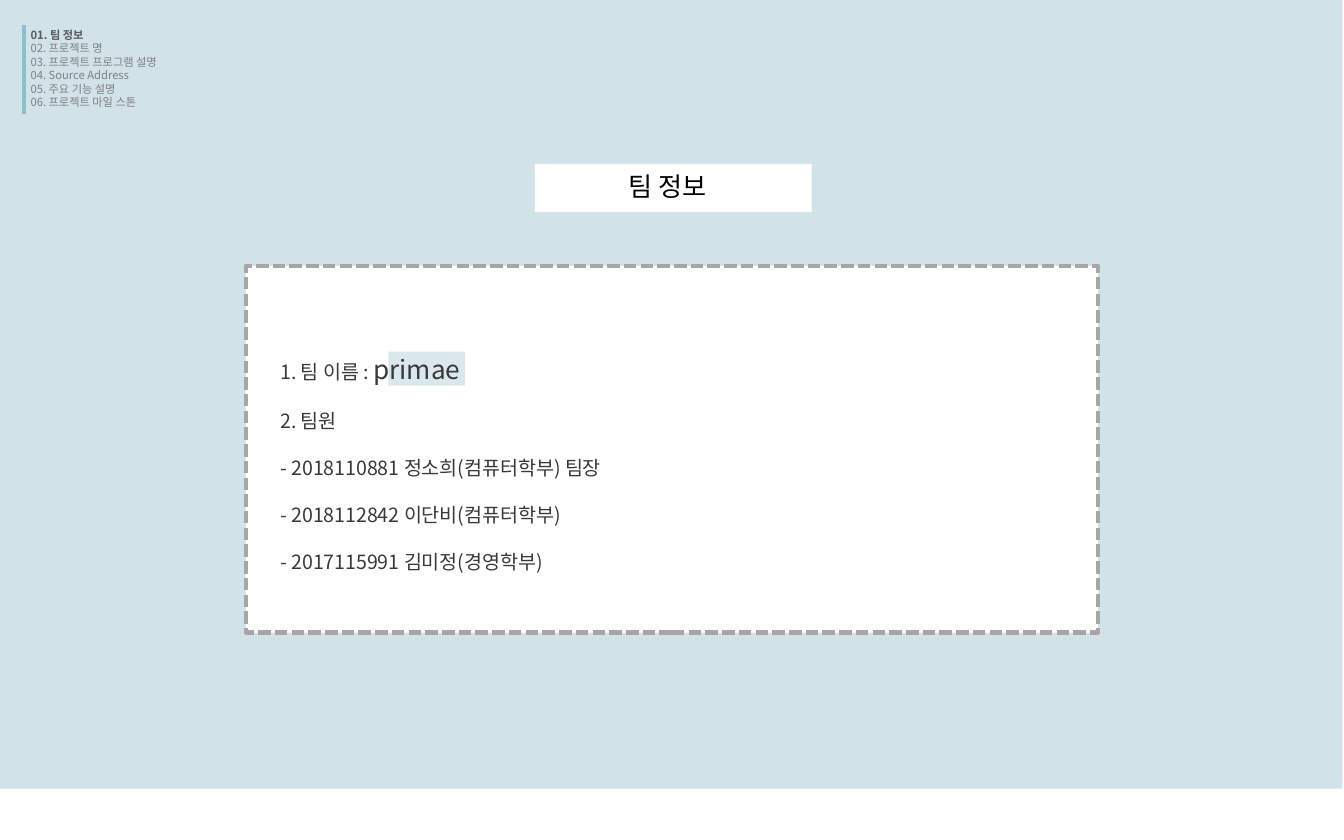
import dataclasses

import lxml.etree
import pptx
import pptx.dml.color
import pptx.enum.dml
import pptx.enum.shapes
import pptx.enum.text
import pptx.oxml.ns
import pptx.util

Cm = pptx.util.Cm
Pt = pptx.util.Pt
Align = pptx.enum.text.PP_ALIGN


@dataclasses.dataclass(frozen=True)
class Theme:
    font: str = "Noto Sans CJK KR"
    sky: str = "D1E2E9"
    teal: str = "8DBFCA"
    white: str = "FFFFFF"
    black: str = "000000"
    border: str = "A6A6A6"
    active: str = "595959"
    muted: str = "808080"
    body: str = "3B3838"
    menu_size: float = 6
    body_size: float = 10.5
    title_size: float = 14
    line_width: float = 2.25


def rgb(value):
    return pptx.dml.color.RGBColor.from_string(value)


class SlideBuilder:
    def __init__(self, deck, theme):
        self.theme = theme
        self.slide = deck.slides.add_slide(deck.slide_layouts[5])

    def panel(self, area, color, border=None, alpha=None):
        """Add a filled rectangle, with an optional dashed border."""
        box = self.slide.shapes.add_shape(
            pptx.enum.shapes.MSO_SHAPE.RECTANGLE, *map(Cm, area))
        box.shadow.inherit = False
        box.fill.solid()
        box.fill.fore_color.rgb = rgb(color)
        if alpha:
            color_node = box._element.spPr.find(
                pptx.oxml.ns.qn("a:solidFill") + "/" + pptx.oxml.ns.qn("a:srgbClr"))
            lxml.etree.SubElement(
                color_node, pptx.oxml.ns.qn("a:alpha"), val=str(alpha * 1000))
        if border:
            box.line.color.rgb = rgb(border)
            box.line.width = Pt(self.theme.line_width)
            box.line.dash_style = pptx.enum.dml.MSO_LINE.SQUARE_DOT
        else:
            box.line.fill.background()

    def line(self, start, end, color):
        rule = self.slide.shapes.add_connector(
            pptx.enum.shapes.MSO_CONNECTOR.STRAIGHT, *map(Cm, start + end))
        rule.line.color.rgb = rgb(color)
        rule.line.width = Pt(self.theme.line_width)
        lxml.etree.SubElement(
            rule._element.spPr, pptx.oxml.ns.qn("a:effectLst"))

    def text(self, area, paragraphs, wrap=False, **paragraph_format):
        """Add a text box; each paragraph is a list of (text, format) spans."""
        box = self.slide.shapes.add_textbox(*map(Cm, area))
        self.fill_text(box, paragraphs, wrap, paragraph_format)

    def title(self, area, text, **font_format):
        """Place the title placeholder above the shapes added so far."""
        box = self.slide.shapes.title
        self.slide.shapes._spTree.append(box._element)
        box.left, box.top, box.width, box.height = map(Cm, area)
        self.fill_text(box, [[(text, font_format)]], False, {"alignment": Align.LEFT})

    def fill_text(self, box, paragraphs, wrap, paragraph_format):
        frame = box.text_frame
        frame_format = {
            "word_wrap": wrap,
            "auto_size": pptx.enum.text.MSO_AUTO_SIZE.SHAPE_TO_FIT_TEXT,
            "vertical_anchor": pptx.enum.text.MSO_ANCHOR.TOP,
        }
        for name, value in frame_format.items():
            setattr(frame, name, value)
        for index, spans in enumerate(paragraphs):
            para = frame.add_paragraph() if index else frame.paragraphs[0]
            for name, value in paragraph_format.items():
                setattr(para, name, value)
            for text, font_format in spans:
                self.span(para, text, **font_format)

    def span(self, para, text, size, color, bold=False):
        span = para.add_run()
        span.text = text
        values = {"name": self.theme.font, "size": Pt(size), "bold": bold}
        for name, value in values.items():
            setattr(span.font, name, value)
        span.font.color.rgb = rgb(color)
        # Hangul takes the East Asian typeface
        lxml.etree.SubElement(
            span._r.get_or_add_rPr(), pptx.oxml.ns.qn("a:ea"),
            typeface=self.theme.font)


def main():
    theme = Theme()
    deck = pptx.Presentation()
    deck.slide_width, deck.slide_height = Cm(25.4), Cm(15.88)
    page = SlideBuilder(deck, theme)

    # Background
    page.panel((-0.03, 0, 25.4, 14.91), theme.sky)

    # Section menu, first entry active
    sections = ["팀 정보", "프로젝트 명", "프로젝트 프로그램 설명",
                "Source Address", "주요 기능 설명", "프로젝트 마일 스톤"]
    menu = []
    for number, section in enumerate(sections, 1):
        active = number == 1
        style = {"size": theme.menu_size, "bold": active,
                 "color": theme.active if active else theme.muted}
        menu.append([(f"{number:02}. {section}", style)])
    page.text((0.33, 0.41, 3.15, 1.8), menu, alignment=Align.JUSTIFY)
    page.line((0.46, 0.48), (0.46, 2.16), theme.teal)

    # Title on its white plate
    page.panel((10.11, 3.1, 5.23, 0.91), theme.white)
    page.title((11.63, 3.1, 2.16, 0.86), sections[0],
               size=theme.title_size, color=theme.black)

    # Team card with the team name highlighted
    page.panel((4.65, 5.03, 16.1, 6.93), theme.white, border=theme.border)
    page.panel((7.34, 6.65, 1.45, 0.64), theme.sky, alpha=80)
    body = {"size": theme.body_size, "color": theme.body}
    team_name = {**body, "size": theme.title_size}
    members = ["2018110881 정소희(컴퓨터학부) 팀장",
               "2018112842 이단비(컴퓨터학부)",
               "2017115991 김미정(경영학부)"]
    lines = [[("1. 팀 이름 : ", body), ("primae", team_name)], [("2. 팀원", body)]]
    lines += [[(f"- {member}", body)] for member in members]
    page.text((5.05, 5.97, 15.44, 4.9), lines, wrap=True, line_spacing=2.0)

    deck.save("out.pptx")


if __name__ == "__main__":
    main()
